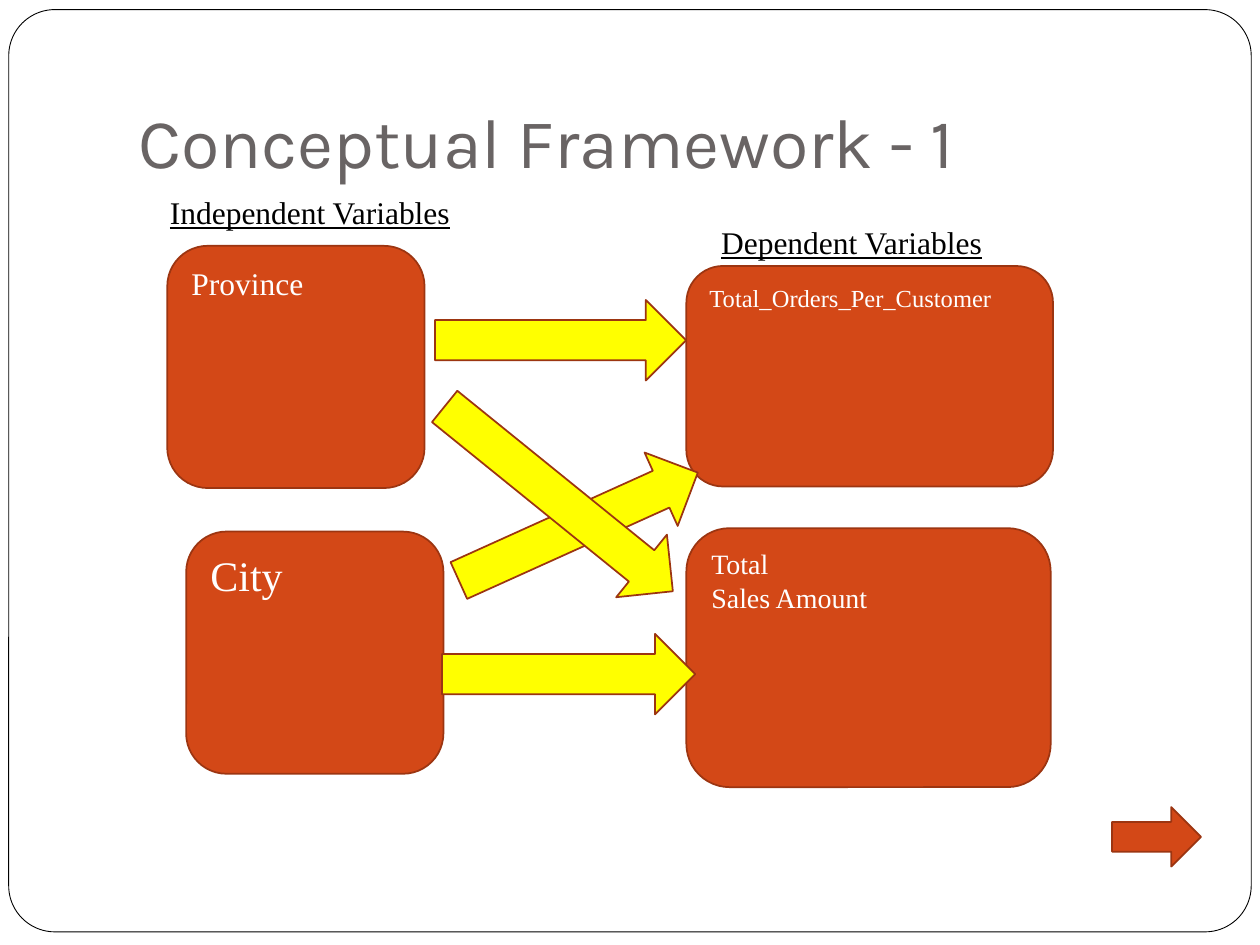
import pptx
import pptx.util
import pptx.dml.color
import pptx.enum.shapes
import pptx.enum.text
from dataclasses import dataclass

Pt = pptx.util.Pt
Shapes = pptx.enum.shapes.MSO_SHAPE
Anchor = pptx.enum.text.MSO_ANCHOR
Align = pptx.enum.text.PP_ALIGN


@dataclass(frozen=True)
class Theme:
    paper: str = "FFFFFF"
    ink: str = "000000"
    heading: str = "696464"
    box: str = "D34817"
    edge: str = "9C3511"
    arrow: str = "FFFF00"
    heading_font: str = "Karla"
    body_font: str = "Times New Roman"
    heading_size: float = 40
    label_size: float = 18
    small_size: float = 14
    medium_size: float = 16
    large_size: float = 24
    edge_width: float = 1
    frame_width: float = 0.5


class SlideBuilder:
    def __init__(self, slide, theme):
        self.slide = slide
        self.theme = theme

    def color(self, value):
        return pptx.dml.color.RGBColor.from_string(value)

    def shape(self, kind, bounds, fill, edge, width):
        shape = self.slide.shapes.add_shape(kind, *map(Pt, bounds))
        shape.shadow.inherit = False
        shape.fill.solid()
        shape.fill.fore_color.rgb = self.color(fill)
        shape.line.color.rgb = self.color(edge)
        shape.line.width = Pt(width)
        return shape

    def add_lines(self, text_frame, lines, font, size, color, underline=False):
        for index, line in enumerate(lines):
            para = text_frame.add_paragraph() if index else text_frame.paragraphs[0]
            para.alignment = Align.LEFT
            span = para.add_run()
            span.text = line
            span.font.name = font
            span.font.size = Pt(size)
            span.font.color.rgb = self.color(color)
            if underline:
                span.font.underline = True

    def frame(self, bounds):
        theme = self.theme
        frame = self.shape(Shapes.ROUNDED_RECTANGLE, bounds, theme.paper,
                           theme.ink, theme.frame_width)
        frame.adjustments[0] = 0.05

    def title(self, text, bounds):
        theme = self.theme
        title = self.slide.shapes.add_textbox(*map(Pt, bounds))
        title.text_frame.word_wrap = True
        title.text_frame.vertical_anchor = Anchor.BOTTOM
        title.text_frame.margin_bottom = Pt(7.2)
        self.add_lines(title.text_frame, [text], theme.heading_font,
                       theme.heading_size, theme.heading)

    def label(self, text, bounds):
        theme = self.theme
        label = self.slide.shapes.add_textbox(*map(Pt, bounds))
        label.text_frame.word_wrap = True
        self.add_lines(label.text_frame, [text], theme.body_font,
                       theme.label_size, theme.ink, underline=True)

    def variable(self, lines, size, bounds):
        theme = self.theme
        box = self.shape(Shapes.ROUNDED_RECTANGLE, bounds, theme.box,
                         theme.edge, theme.edge_width)
        box.text_frame.word_wrap = True
        box.text_frame.vertical_anchor = Anchor.TOP
        self.add_lines(box.text_frame, lines, theme.body_font, size, theme.paper)

    def arrow(self, bounds, fill, rotation=0):
        theme = self.theme
        arrow = self.shape(Shapes.RIGHT_ARROW, bounds, fill,
                           theme.edge, theme.edge_width)
        arrow.rotation = rotation


def main():
    deck = pptx.Presentation()
    deck.slide_width, deck.slide_height = Pt(720), Pt(540)
    theme = Theme()
    page = SlideBuilder(deck.slides.add_slide(deck.slide_layouts[6]), theme)

    page.frame((5, 5.5, 710, 527))
    page.title("Conceptual Framework - 1", (72, 21.6, 612, 90))

    cause_width, cause_height = 147, 138.4
    effect_left = 392.2
    page.variable(["Total_Orders_Per_Customer"], theme.small_size,
                  (effect_left, 152, 209.5, 126))
    page.variable(["Province"], theme.label_size,
                  (95.6, 140.5, cause_width, cause_height))
    page.variable(["Total", "Sales Amount"], theme.medium_size,
                  (effect_left, 301.8, 208.2, 148))
    page.variable(["City"], theme.large_size,
                  (106.4, 303.8, cause_width, cause_height))

    arrow_height = 46
    for left, top, width, rotation in (
        (252.6, 362.2, 144.7, 0),
        (255.6, 277.9, 149.8, 335.7),
        (248.6, 171.4, 143.5, 0),
        (235.4, 262.1, 167.8, 39),
    ):
        page.arrow((left, top, width, arrow_height), theme.arrow, rotation)

    page.label("Dependent Variables", (405, 124, 191.5, 28.8))
    page.label("Independent Variables", (90, 106.6, 195, 28.8))
    page.arrow((635.5, 461.2, 50.8, 34), theme.box)

    deck.save("out.pptx")


if __name__ == "__main__":
    main()
